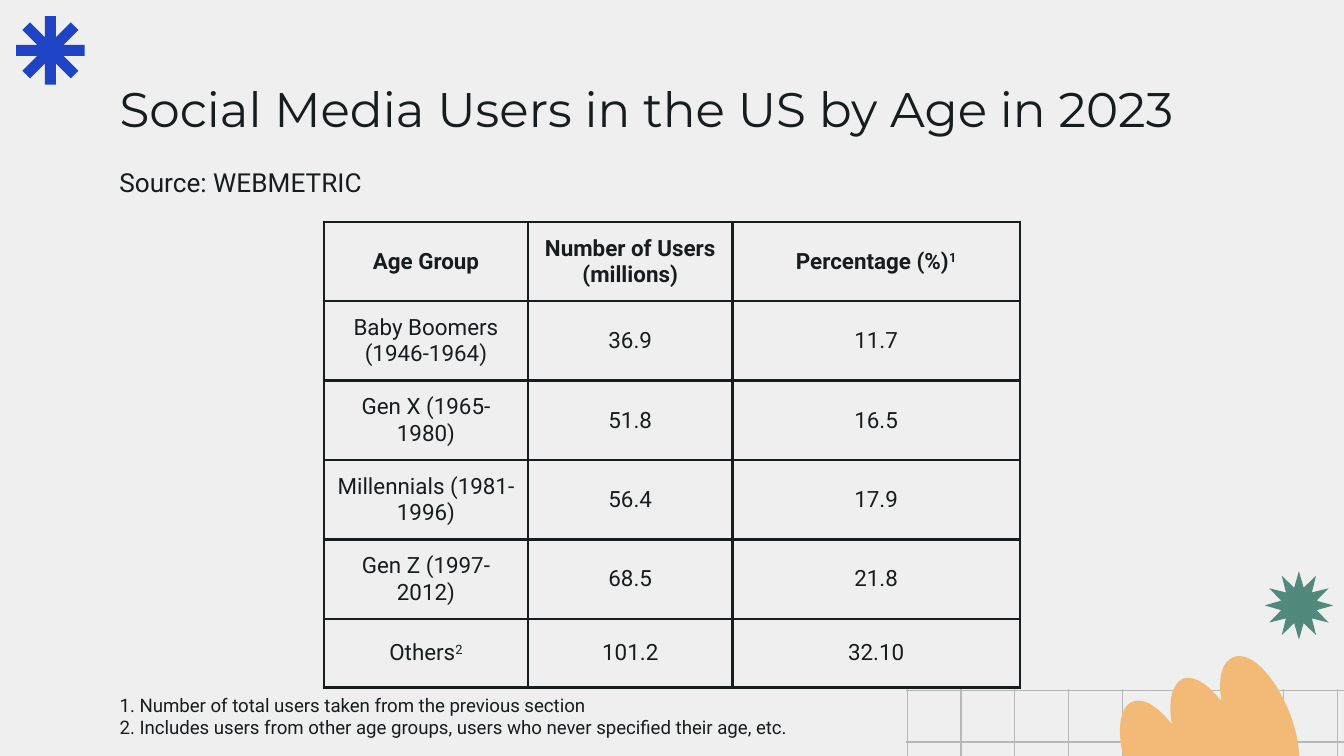
from math import cos, sin, tan, pi
from lxml.etree import SubElement
from pptx import Presentation
from pptx.dml.color import RGBColor
from pptx.enum.shapes import MSO_CONNECTOR, MSO_SHAPE
from pptx.enum.text import MSO_ANCHOR, MSO_AUTO_SIZE, PP_ALIGN
from pptx.oxml.ns import qn
from pptx.util import Inches, Pt

WIDE, HIGH = 10, 10 * 9 / 16
LEFT, SPAN = 0.79, 8.43
INK, GRID, PAPER = "171C1E", "B7B7B7", "EFEFEF"
HEAD, TEXT = "Montserrat", "Roboto"

ROWS = [
    ("Age Group", "Number of Users (millions)", "Percentage (%)^1"),
    ("Baby Boomers (1946-1964)", "36.9", "11.7"),
    ("Gen X (1965-1980)", "51.8", "16.5"),
    ("Millennials (1981-1996)", "56.4", "17.9"),
    ("Gen Z (1997-2012)", "68.5", "21.8"),
    ("Others^2", "101.2", "32.10"),
]
COLS = [1.52, 1.52, 2.14]
NOTES = [
    "1. Number of total users taken from the previous section",
    "2. Includes users from other age groups, users who never specified their age, etc.",
]
HAND = [
    (9.59, 5.29),
    (9.48, 5.02), (9.3, 4.84), (9.18, 4.89),
    (9.09, 4.92), (9.06, 5.05), (9.09, 5.22),
    (8.99, 5.09), (8.88, 5.02), (8.8, 5.05),
    (8.72, 5.09), (8.69, 5.22), (8.72, 5.39),
    (8.62, 5.26), (8.51, 5.19), (8.43, 5.22),
    (8.31, 5.26), (8.3, 5.52), (8.41, 5.79),
]


def tint(code):
    return RGBColor.from_string(code)


def box(*sides):
    return [Inches(side) for side in sides]


def paint(shape, code):
    shape.shadow.inherit = False
    shape.fill.solid()
    shape.fill.fore_color.rgb = tint(code)
    shape.line.fill.background()


def style(para, size, face=TEXT, bold=False, align=PP_ALIGN.LEFT):
    para.alignment = align
    para.space_before = Pt(0)
    font = para.font
    font.size, font.name, font.bold = Pt(size), face, bold
    font.color.rgb = tint(INK)


def write(shape, area, lines, size, face=TEXT, anchor=MSO_ANCHOR.TOP):
    shape.left, shape.top, shape.width, shape.height = box(*area)
    frame = shape.text_frame
    frame.word_wrap = True
    frame.auto_size = MSO_AUTO_SIZE.NONE
    frame.vertical_anchor = anchor
    frame.margin_left = frame.margin_right = Inches(0.1)
    frame.margin_top = frame.margin_bottom = Inches(0.1)
    frame.text = "\n".join(lines)
    for para in frame.paragraphs:
        style(para, size, face)
        if shape.is_placeholder:
            props = para._p.get_or_add_pPr()
            props.set("marL", "0")
            props.set("indent", "0")
            SubElement(props, qn("a:buNone"))


def rule(slide, *ends):
    line = slide.shapes.add_connector(MSO_CONNECTOR.STRAIGHT, *box(*ends))
    line.line.color.rgb = tint(GRID)
    line.line.width = Pt(0.75)
    SubElement(line._element.spPr, qn("a:effectLst"))


def mesh(slide):
    for y in (5.14, 5.52):
        rule(slide, 6.74, y, 10.34, y)
    for col in range(9):
        x = 6.75 + 0.4 * col
        rule(slide, x, 5.13, x, 6.66)


def blob(slide, points, code):
    first, *rest = [box(*point) for point in points]
    build = slide.shapes.build_freeform(*first)
    build.add_line_segments(rest, close=True)
    shape = build.convert_to_shape()
    paint(shape, code)
    return shape


def bend(shape):
    lines = list(shape._element.iter(qn("a:lnTo")))
    for i in range(0, len(lines), 3):
        trio = lines[i:i + 3]
        curve = trio[0].makeelement(qn("a:cubicBezTo"))
        trio[0].addprevious(curve)
        for line in trio:
            curve.append(line[0])
            line.getparent().remove(line)


def hand(slide):
    turn = [(18 - x, 11.08 - y) for x, y in HAND[1:]]
    bend(blob(slide, HAND + turn, "F3BA77"))


def burst(slide, mid=0.375, reach=0.255, thick=0.04):
    inner = thick / tan(pi / 8)
    points = []
    for arm in range(8):
        a = arm * pi / 4
        for x, y in ((reach, -thick), (reach, thick), (inner, thick)):
            points.append((mid + x * cos(a) - y * sin(a),
                           mid + x * sin(a) + y * cos(a)))
    blob(slide, points, "1E43C5")


def star(slide):
    shape = slide.shapes.add_shape(MSO_SHAPE.STAR_12_POINT, *box(9.41, 4.25, 0.51, 0.51))
    shape.adjustments[0] = 0.268
    paint(shape, "51897C")


def edge(cell):
    props = cell._tc.get_or_add_tcPr()
    for side in ("lnL", "lnR", "lnT", "lnB"):
        line = SubElement(props, qn("a:" + side), w=str(Pt(1.5)))
        fill = SubElement(line, qn("a:solidFill"))
        SubElement(fill, qn("a:srgbClr"), val=INK)


def fill_cell(cell, words, bold):
    edge(cell)
    cell.fill.background()
    cell.vertical_anchor = MSO_ANCHOR.MIDDLE
    cell.margin_left = cell.margin_right = Inches(0.1)
    cell.margin_top = cell.margin_bottom = Inches(0.1)
    para = cell.text_frame.paragraphs[0]
    style(para, 12, bold=bold, align=PP_ALIGN.CENTER)
    main_text, _, mark = words.partition("^")
    para.add_run().text = main_text
    if mark:
        run = para.add_run()
        run.text = mark
        run.font._element.set("baseline", "30000")


def chart_table(slide):
    area = box(2.41, 1.65, sum(COLS), 0.51 * len(ROWS))
    table = slide.shapes.add_table(len(ROWS), len(COLS), *area).table
    table.horz_banding = False
    for col, width in zip(table.columns, COLS):
        col.width = Inches(width)
    for r, row in enumerate(ROWS):
        for c, words in enumerate(row):
            fill_cell(table.cell(r, c), words, bold=r == 0)


def main():
    deck = Presentation()
    deck.slide_width, deck.slide_height = box(WIDE, HIGH)
    slide = deck.slides.add_slide(deck.slide_layouts[1])
    back = slide.background.fill
    back.solid()
    back.fore_color.rgb = tint(PAPER)
    mesh(slide)
    hand(slide)
    star(slide)
    burst(slide)
    write(slide.shapes.title, (LEFT, 0.49, SPAN, 0.63),
          ["Social Media Users in the US by Age in 2023"], 26, HEAD, MSO_ANCHOR.MIDDLE)
    chart_table(slide)
    area = (LEFT, 1.14, SPAN, 0.4)
    write(slide.shapes.add_textbox(*box(*area)), area, ["Source: WEBMETRIC"], 14)
    write(slide.placeholders[1], (LEFT, 5.21, 6.43, 0.24), NOTES, 10,
          anchor=MSO_ANCHOR.MIDDLE)
    deck.save("out.pptx")


if __name__ == "__main__":
    main()
